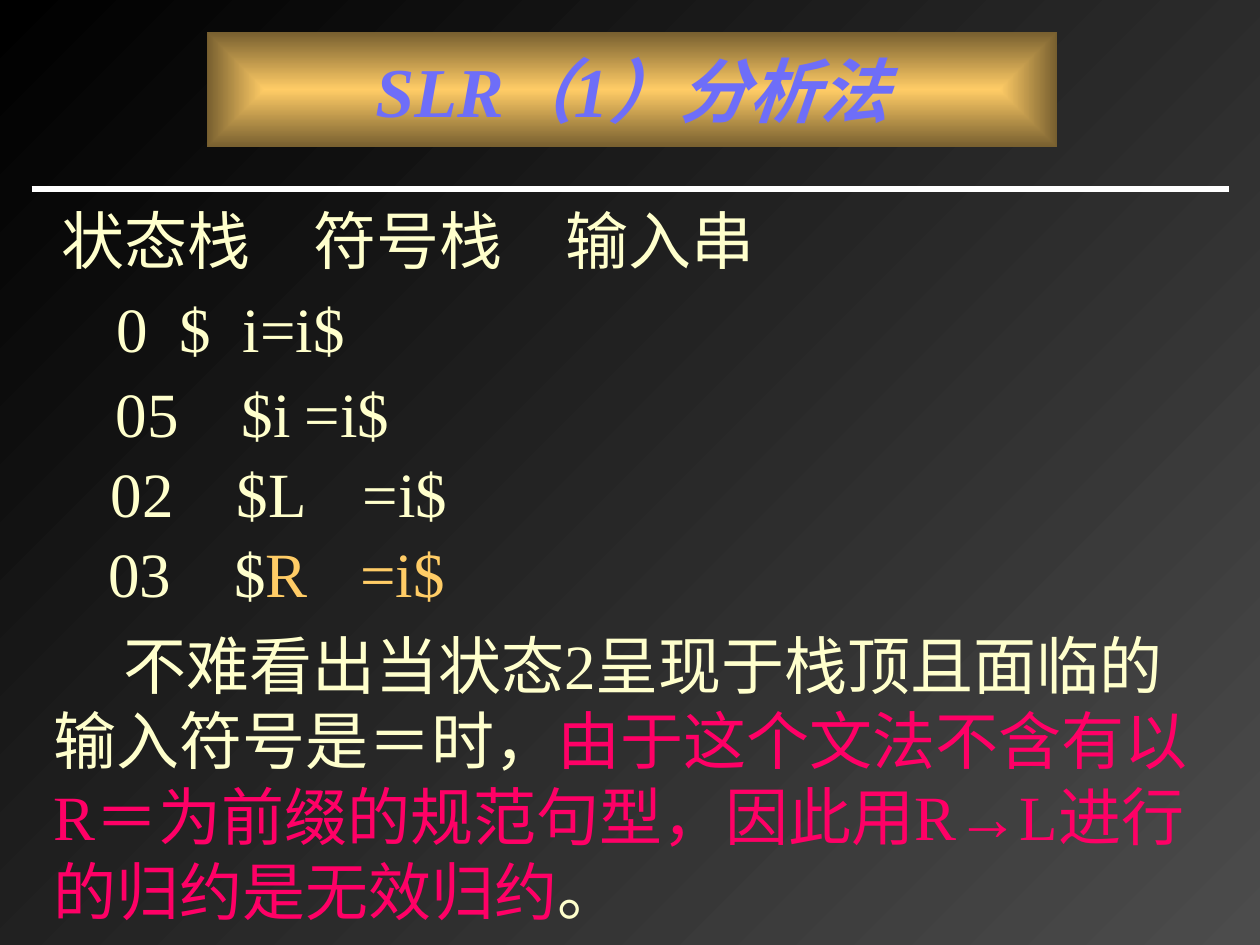
"""Build the SLR(1) parsing slide with its stack trace and conclusion."""
from typing import NamedTuple

from lxml.etree import SubElement
from pptx import Presentation
from pptx.dml.color import RGBColor
from pptx.enum.shapes import MSO_CONNECTOR, MSO_SHAPE
from pptx.enum.text import MSO_ANCHOR, MSO_AUTO_SIZE, PP_ALIGN
from pptx.oxml.ns import qn
from pptx.util import Inches, Pt

SERIF = "Times New Roman"
SANS = "Noto Sans CJK SC"
CREAM = "FFFFCC"
GOLD = "FFCC66"
PINK = "FF0066"
INSET = 0.1
SYMBOL_TAB = 3.63
INPUT_RIGHT = 9.24


class Piece(NamedTuple):
    text: str
    colour: str = CREAM


class Tab(NamedTuple):
    position: float
    align: str = "l"


class TraceRow(NamedTuple):
    left: float
    top: float
    pieces: list[Piece]


TRACE = [
    TraceRow(0.83, 2.25, [Piece("0\t$\ti=i$")]),
    TraceRow(0.82, 2.92, [Piece("05\t$i\t=i$")]),
    TraceRow(0.78, 3.56, [Piece("02\t$L\t=i$")]),
    TraceRow(0.76, 4.19, [Piece("03\t$"), Piece("R\t=i$", GOLD)]),
]
CONCLUSION = [
    Piece("不难看出当状态2呈现于栈顶且面临的输入符号是＝时，"),
    Piece("由于这个文法不含有以R＝为前缀的规范句型，因此用R→L进行的归约是无效归约", PINK),
    Piece("。"),
]


def rgb(colour: str) -> RGBColor:
    return RGBColor.from_string(colour)


def fill_gradient(fill, start: str, end: str) -> None:
    fill.gradient()
    for stop, position, colour in zip(fill.gradient_stops, (0, 1), (start, end)):
        stop.position = position
        stop.color.rgb = rgb(colour)


def format_run(run, colour: str, size: float, face: str) -> None:
    run.font.size = Pt(size)
    run.font.color.rgb = rgb(colour)
    run.font.name = face
    SubElement(run.font._element, qn("a:ea"), typeface=SANS)


def add_text(slide, left: float, top: float, width: float, height: float,
             pieces: list[Piece], face: str = SERIF,
             tabs: tuple[Tab, ...] = (), indent: float = 0) -> None:
    box = slide.shapes.add_textbox(Inches(left), Inches(top), Inches(width), Inches(height))
    frame = box.text_frame
    frame.word_wrap = True
    frame.auto_size = MSO_AUTO_SIZE.SHAPE_TO_FIT_TEXT
    paragraph = frame.paragraphs[0]
    properties = paragraph._p.get_or_add_pPr()
    properties.set("marL", "0")
    properties.set("indent", str(Inches(indent)))
    if tabs:
        tab_list = SubElement(properties, qn("a:tabLst"))
        for tab in tabs:
            SubElement(tab_list, qn("a:tab"), pos=str(Inches(tab.position)), algn=tab.align)
    for piece in pieces:
        run = paragraph.add_run()
        run.text = piece.text
        format_run(run, piece.colour, 36, face)


def add_title(slide) -> None:
    banner = slide.shapes.add_shape(
        MSO_SHAPE.RECTANGLE, Inches(1.64), Inches(0.25), Inches(6.75), Inches(0.92))
    banner.shadow.inherit = False
    banner.line.fill.background()
    fill_gradient(banner.fill, GOLD, "765E2F")
    linear = banner._element.spPr.find(qn("a:gradFill")).find(qn("a:lin"))
    gradient = linear.getparent()
    gradient.remove(linear)
    rectangular = SubElement(gradient, qn("a:path"), {"path": "rect"})
    SubElement(rectangular, qn("a:fillToRect"), {side: "50000" for side in "ltrb"})
    frame = banner.text_frame
    frame.text = "SLR（1）分析法"
    frame.vertical_anchor = MSO_ANCHOR.MIDDLE
    heading = frame.paragraphs[0]
    heading.alignment = PP_ALIGN.CENTER
    run = heading.runs[0]
    format_run(run, "6E6EF8", 40, SERIF)
    run.font.bold = True
    run.font.italic = True


def add_rule(slide) -> None:
    rule = slide.shapes.add_connector(
        MSO_CONNECTOR.STRAIGHT, Inches(0.25), Inches(1.5), Inches(9.75), Inches(1.5))
    rule.line.color.rgb = rgb("FFFFFF")
    rule.line.width = Pt(3)
    SubElement(rule._element.spPr, qn("a:effectLst"))


def main() -> None:
    deck = Presentation()
    deck.slide_width = Inches(10)
    deck.slide_height = Inches(7.5)
    slide = deck.slides.add_slide(deck.slide_layouts[6])
    background = slide.background.fill
    fill_gradient(background, "000000", "4C4C4C")
    background.gradient_angle = 315

    add_title(slide)
    add_rule(slide)
    add_text(slide, 0.39, 1.55, 9.33, 0.7, [Piece("状态栈\t符号栈\t输入串")],
             face=SANS, tabs=(Tab(2.4), Tab(5.02)))
    for row in TRACE:
        input_tab = Tab(INPUT_RIGHT - row.left - INSET, "r")
        add_text(slide, row.left, row.top, 8.7, 0.7, row.pieces,
                 tabs=(Tab(SYMBOL_TAB), input_tab))
    add_text(slide, 0.33, 4.92, 9.33, 2.5, CONCLUSION, indent=0.55)
    deck.save("out.pptx")


if __name__ == "__main__":
    main()
